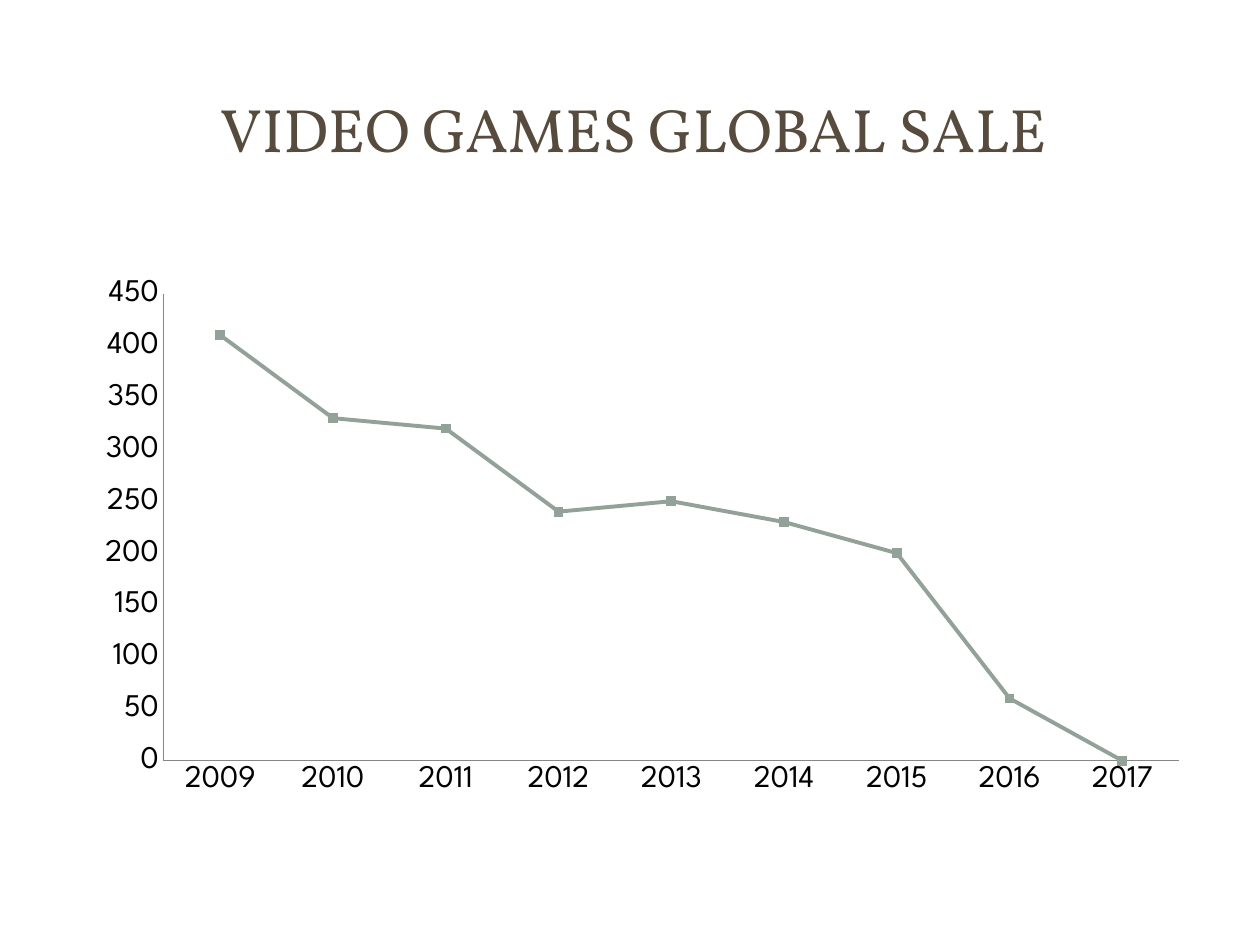
import dataclasses

import pptx
import pptx.chart.data
import pptx.dml.color
import pptx.enum.chart
import pptx.enum.shapes
import pptx.enum.text
import pptx.oxml
import pptx.oxml.ns
import pptx.util


@dataclasses.dataclass(frozen=True)
class Theme:
    """Colours, fonts and sizes of the deck."""
    paper: str = "FFFFFF"
    title: str = "564B3C"
    text: str = "000000"
    axis: str = "868686"
    series: str = "93A299"
    title_font: str = "Vollkorn"
    chart_font: str = "League Spartan"
    title_size: float = 35
    chart_size: float = 18
    axis_width: float = 0.5
    series_width: float = 2.25
    marker_size: int = 5


THEME = Theme()
SALES = {2009: 410, 2010: 330, 2011: 320, 2012: 240, 2013: 250,
         2014: 230, 2015: 200, 2016: 60, 2017: 0}
PLOT = {"x": 0.089, "y": 0.086, "w": 0.895, "h": 0.776}


def rgb(value):
    """Return a colour from its hex form."""
    return pptx.dml.color.RGBColor.from_string(value)


def apply(target, **values):
    """Set several attributes on one object."""
    for name, value in values.items():
        setattr(target, name, value)


def set_fill(fill, color):
    """Give a fill one solid colour."""
    fill.solid()
    fill.fore_color.rgb = rgb(color)


def set_font(font, name, size, color):
    """Give a font its face, size and colour."""
    apply(font, name=name, size=pptx.util.Pt(size), bold=False)
    font.color.rgb = rgb(color)


def set_line(line, color, width):
    """Give a line its colour and width."""
    line.color.rgb = rgb(color)
    line.width = pptx.util.Pt(width)


def place(prs, left, top, width, height):
    """Turn shares of the slide into a box."""
    return [int(share * side) for share, side in zip(
        (left, top, width, height), (prs.slide_width, prs.slide_height) * 2)]


def add_panel(s, box, opacity=100):
    """Lay a plain paper panel behind the title."""
    sp = s.shapes.add_shape(pptx.enum.shapes.MSO_SHAPE.RECTANGLE, *box)
    sp.shadow.inherit = False
    sp.line.fill.background()
    set_fill(sp.fill, THEME.paper)
    if opacity < 100:
        color = sp._element.spPr.find(".//" + pptx.oxml.ns.qn("a:srgbClr"))
        color.append(pptx.oxml.parse_xml(
            f'<a:alpha {pptx.oxml.ns.nsdecls("a")} val="{opacity * 1000}"/>'))


def add_title(s, box, text):
    """Write the centred slide title."""
    tf = s.shapes.add_textbox(*box).text_frame
    apply(tf, word_wrap=True, vertical_anchor=pptx.enum.text.MSO_ANCHOR.MIDDLE)
    p = tf.paragraphs[0]
    p.alignment = pptx.enum.text.PP_ALIGN.CENTER
    r = p.add_run()
    r.text = text
    set_font(r.font, THEME.title_font, THEME.title_size, THEME.title)


def set_plot_layout(chart, shares):
    """Fix the inner plot area at shares of the chart."""
    area = chart._chartSpace.chart.plotArea
    for old in area.findall(pptx.oxml.ns.qn("c:layout")):
        area.remove(old)
    sizes = "".join(f'<c:{k} val="{v}"/>' for k, v in shares.items())
    area.insert(0, pptx.oxml.parse_xml(
        f'<c:layout {pptx.oxml.ns.nsdecls("c")}><c:manualLayout>'
        '<c:layoutTarget val="inner"/><c:xMode val="edge"/><c:yMode val="edge"/>'
        f'{sizes}</c:manualLayout></c:layout>'))


def add_sales_chart(s, box, sales):
    """Draw the yearly sales line with its markers."""
    data = pptx.chart.data.CategoryChartData()
    data.categories = [str(year) for year in sales]
    data.add_series("Series 1", sales.values())
    kinds = pptx.enum.chart
    chart = s.shapes.add_chart(kinds.XL_CHART_TYPE.LINE_MARKERS, *box, data).chart
    apply(chart, has_legend=False, has_title=False)
    set_font(chart.font, THEME.chart_font, THEME.chart_size, THEME.text)
    for axis in (chart.category_axis, chart.value_axis):
        apply(axis, has_major_gridlines=False,
              major_tick_mark=kinds.XL_TICK_MARK.NONE,
              minor_tick_mark=kinds.XL_TICK_MARK.NONE)
        set_line(axis.format.line, THEME.axis, THEME.axis_width)
    apply(chart.value_axis, minimum_scale=0, maximum_scale=450, major_unit=50)
    plot = chart.plots[0]
    plot.vary_by_categories = False
    line = plot.series[0]
    line.smooth = False
    set_line(line.format.line, THEME.series, THEME.series_width)
    apply(line.marker, style=kinds.XL_MARKER_STYLE.SQUARE, size=THEME.marker_size)
    set_fill(line.marker.format.fill, THEME.series)
    set_line(line.marker.format.line, THEME.series, THEME.axis_width)
    set_plot_layout(chart, PLOT)


def main():
    """Build and save the sales slide."""
    prs = pptx.Presentation()
    apply(prs, slide_width=pptx.util.Inches(10), slide_height=pptx.util.Inches(7.5))
    s = prs.slides.add_slide(prs.slide_layouts[6])
    set_fill(s.background.fill, THEME.paper)
    add_panel(s, place(prs, 0.03, 0.04, 0.94, 0.193), opacity=83)
    add_panel(s, place(prs, 0.041, 0.055, 0.917, 0.163))
    add_title(s, place(prs, 0.047, 0.06, 0.903, 0.152), " VIDEO GAMES GLOBAL SALE")
    add_sales_chart(s, place(prs, 0.05, 0.256, 0.9, 0.637), SALES)
    prs.save("out.pptx")


if __name__ == "__main__":
    main()
